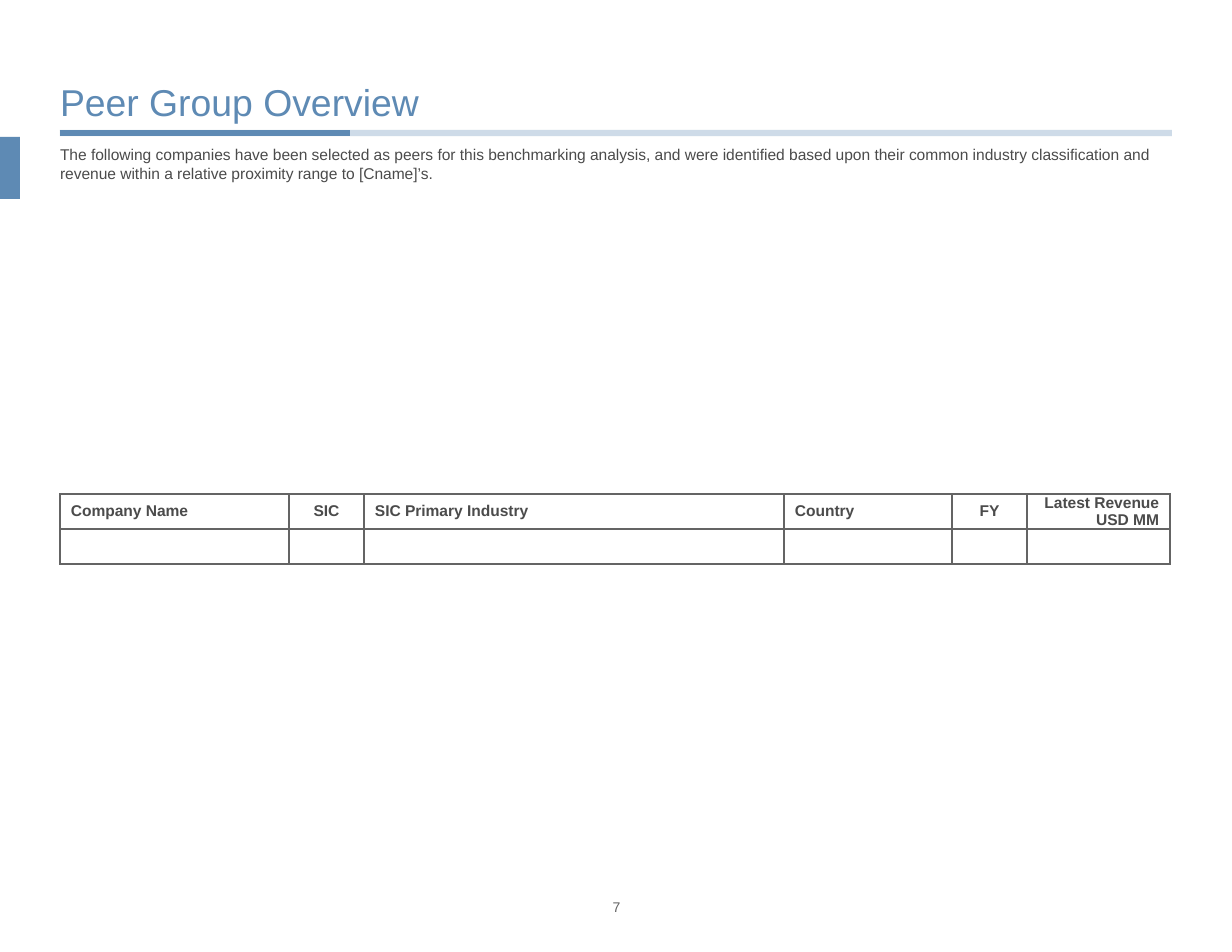
from lxml import etree
from pptx import Presentation
from pptx.dml.color import RGBColor
from pptx.enum.shapes import MSO_CONNECTOR, MSO_SHAPE
from pptx.enum.text import MSO_ANCHOR, MSO_AUTO_SIZE, PP_ALIGN
from pptx.oxml.ns import qn
from pptx.util import Emu, Pt

LEFT, CENTER, RIGHT = PP_ALIGN.LEFT, PP_ALIGN.CENTER, PP_ALIGN.RIGHT
TOP, MIDDLE, BOTTOM = MSO_ANCHOR.TOP, MSO_ANCHOR.MIDDLE, MSO_ANCHOR.BOTTOM
FONT = "Arial"
BLUE, DARK, GREY, WHITE = "5E8AB4", "4B4B4B", "646464", "FFFFFF"
MARGIN, CONTENT_WIDTH = 60, 1112

# Heading, column width, alignment
COLUMNS = [
    ("Company Name", 229, LEFT),
    ("SIC", 75, CENTER),
    ("SIC Primary Industry", 420, LEFT),
    ("Country", 168, LEFT),
    ("FY", 75, CENTER),
    ("Latest Revenue\nUSD MM", 143, RIGHT),
]
ROW_HEIGHT, CELL_INSET = 35, 11


def px(length):
    return Emu(round(length * 914400 / 112))


def color(hex_string):
    return RGBColor.from_string(hex_string)


def place(shape, left, top, width, height):
    shape.left, shape.top = px(left), px(top)
    shape.width, shape.height = px(width), px(height)


def format_text(text_frame, size, hex_string, align=LEFT, bold=False, after=0):
    for paragraph in text_frame.paragraphs:
        paragraph.alignment = align
        paragraph.space_before, paragraph.space_after = Pt(0), Pt(after)
        for run in paragraph.runs:
            run.font.name, run.font.size, run.font.bold = FONT, Pt(size), bold
            run.font.color.rgb = color(hex_string)


def fill_text(shape, text, anchor, size, hex_string, **options):
    frame = shape.text_frame
    frame.text = text
    frame.word_wrap = True
    frame.auto_size = MSO_AUTO_SIZE.NONE
    frame.vertical_anchor = anchor
    frame.margin_left = frame.margin_right = 0
    frame.margin_top = frame.margin_bottom = 0
    format_text(frame, size, hex_string, **options)


def remove_bullets(text_frame):
    for paragraph in text_frame.paragraphs:
        properties = paragraph._p.get_or_add_pPr()
        properties.set("marL", "0")
        properties.set("indent", "0")
        etree.SubElement(properties, qn("a:buNone"))


def add_rule(slide, width, opacity=100):
    y = px(133)
    rule = slide.shapes.add_connector(
        MSO_CONNECTOR.STRAIGHT, px(MARGIN), y, px(MARGIN + width), y)
    rule.line.width = Pt(4)
    rule.line.color.rgb = color(BLUE)
    if opacity < 100:
        fill_color = rule.line._ln.find(qn("a:solidFill"))[0]
        etree.SubElement(fill_color, qn("a:alpha"), val=str(opacity * 1000))
    etree.SubElement(rule._element.spPr, qn("a:effectLst"))


def add_side_tab(slide):
    tab = slide.shapes.add_shape(
        MSO_SHAPE.RECTANGLE, 0, px(137), px(20), px(62))
    tab.shadow.inherit = False
    tab.fill.solid()
    tab.fill.fore_color.rgb = color(BLUE)
    tab.line.fill.background()


def style_cell(cell):
    cell.vertical_anchor = MIDDLE
    cell.margin_left = cell.margin_right = px(CELL_INSET)
    cell.margin_top = cell.margin_bottom = 0
    # Borders come before the fill in the cell properties
    properties = cell._tc.get_or_add_tcPr()
    for side in ("lnL", "lnR", "lnT", "lnB"):
        border = etree.SubElement(properties, qn(f"a:{side}"), w=str(Pt(1)))
        solid = etree.SubElement(border, qn("a:solidFill"))
        etree.SubElement(solid, qn("a:srgbClr"), val=GREY)
    cell.fill.solid()
    cell.fill.fore_color.rgb = color(WHITE)


def add_peer_table(slide):
    width = sum(column[1] for column in COLUMNS)
    table = slide.shapes.add_table(
        2, len(COLUMNS), px(MARGIN), px(494), px(width), px(2 * ROW_HEIGHT)).table
    table.horz_banding = False
    for row in table.rows:
        row.height = px(ROW_HEIGHT)
    for cell in table.iter_cells():
        style_cell(cell)
    for index, (heading, column_width, align) in enumerate(COLUMNS):
        table.columns[index].width = px(column_width)
        cell = table.cell(0, index)
        cell.text_frame.text = heading
        format_text(cell.text_frame, 10, DARK, align, bold=True)


def main():
    presentation = Presentation()
    presentation.slide_width, presentation.slide_height = px(1232), px(952)
    slide = presentation.slides.add_slide(presentation.slide_layouts[1])

    # Template decoration
    add_rule(slide, CONTENT_WIDTH, opacity=30)
    add_rule(slide, 290)
    add_side_tab(slide)

    # Title and introduction
    title, body = slide.placeholders
    place(title, MARGIN, 24, CONTENT_WIDTH, 100)
    fill_text(title, "Peer Group Overview", BOTTOM, 24, BLUE)
    place(body, MARGIN, 145, CONTENT_WIDTH, 34)
    fill_text(
        body,
        "The following companies have been selected as peers for this "
        "benchmarking analysis, and were identified based upon their common "
        "industry classification and revenue within a relative proximity "
        "range to [Cname]’s.",
        TOP, 10, DARK, after=8)
    remove_bullets(body.text_frame)

    # Peer companies
    add_peer_table(slide)

    # Page number
    number = slide.shapes.add_textbox(px(596), px(899), px(41), px(17))
    fill_text(number, "7", TOP, 9, GREY, align=CENTER)

    presentation.save("out.pptx")


if __name__ == "__main__":
    main()
